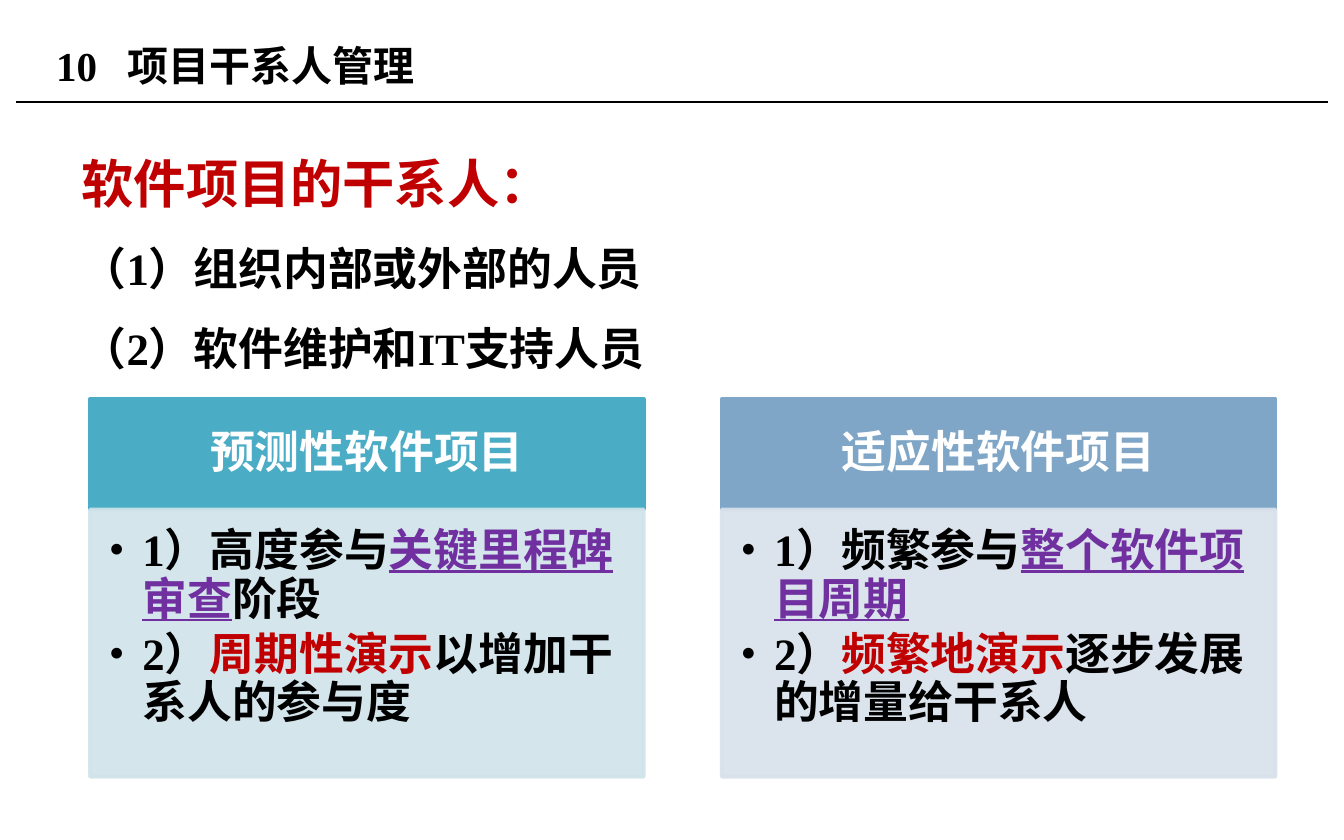
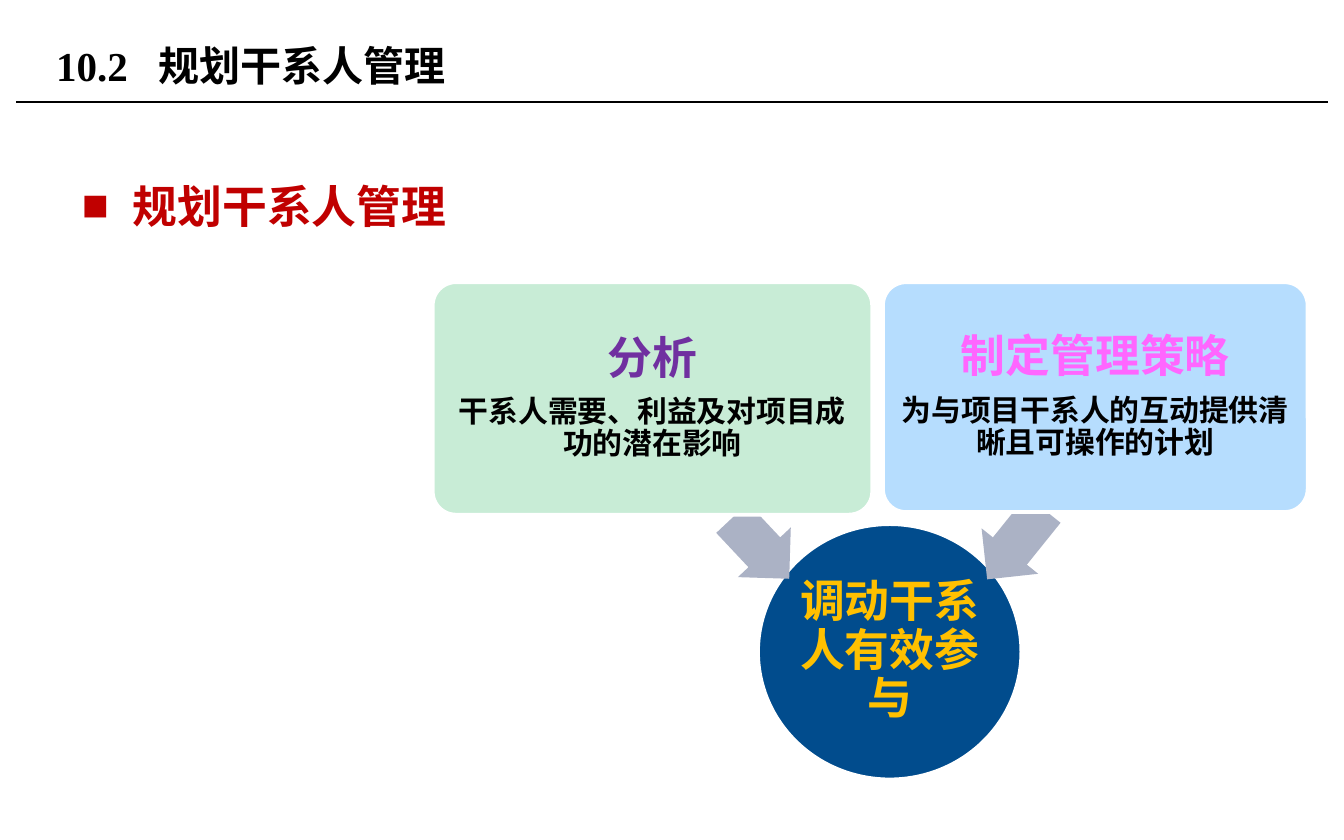
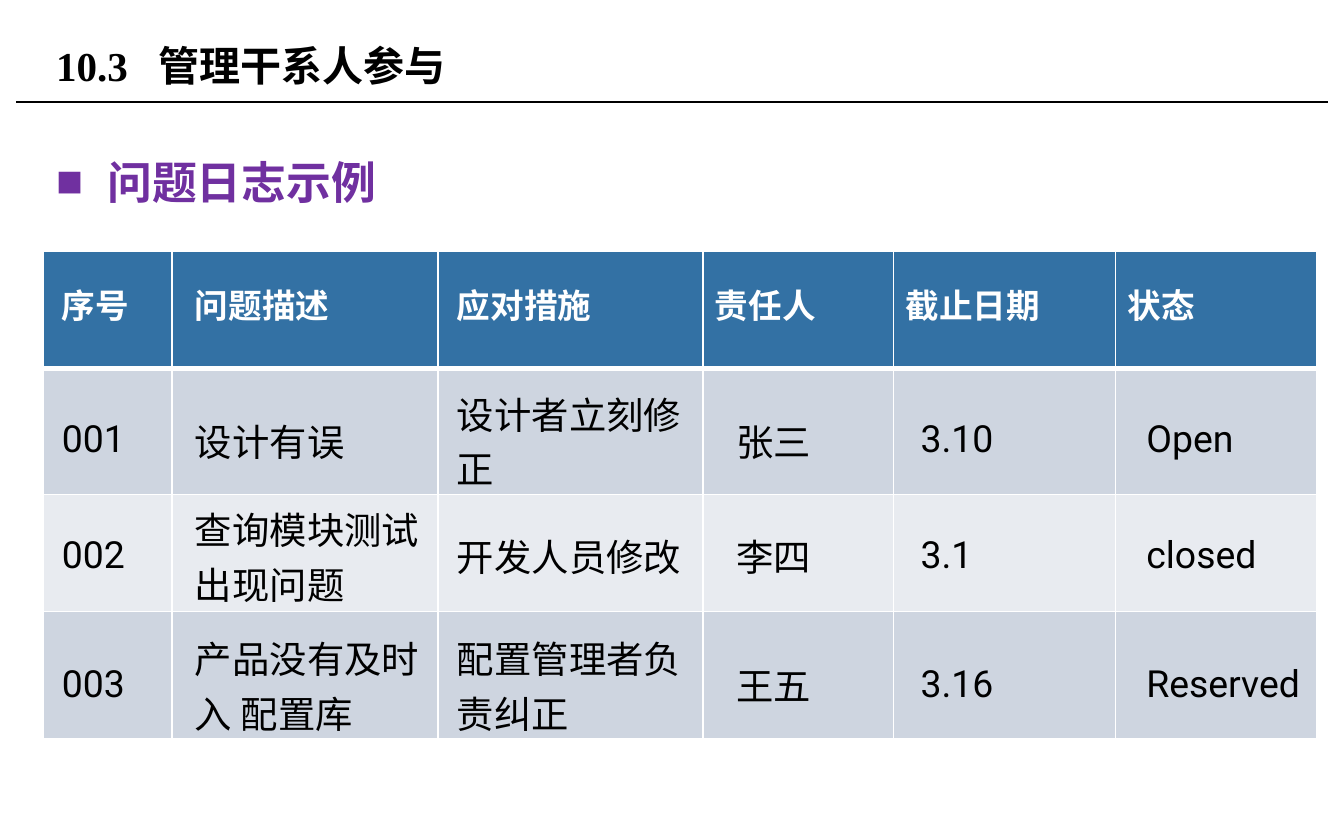
from dataclasses import dataclass

from lxml import etree
from pptx import Presentation
from pptx.dml.color import RGBColor
from pptx.enum import shapes, text
from pptx.oxml import ns
from pptx.util import Inches, Pt


@dataclass(frozen=True)
class Theme:
    serif: str = "Times New Roman"
    sans: str = "Roboto"
    chinese: str = "Noto Sans CJK SC"
    black: str = "000000"
    white: str = "FFFFFF"
    red: str = "C00000"
    purple: str = "7030A0"
    pink: str = "FF66FF"
    gold: str = "FFC000"
    navy: str = "014C8D"
    arrow: str = "ABB2C5"
    table_header: str = "3371A4"
    table_bands: tuple = ("CED5E0", "E8EBF0")
    title_size: int = 22
    lead_size: int = 28
    body_size: int = 24
    detail_size: int = 16
    header_size: int = 18
    cell_size: int = 20


theme = Theme()


def write(holder, paragraphs, *, size=theme.body_size, font=theme.serif,
          east_asian=theme.sans, color=theme.black, bold=True, align=None,
          anchor=text.MSO_ANCHOR.TOP, insets=(0.1, 0.05, 0.1, 0.05), spacing=None,
          after=0, indent=0, bullet=None, tabs=()):
    """Fill a shape or table cell; a paragraph is a list of (text, overrides) runs."""
    frame = holder.text_frame
    frame.word_wrap = True
    # A cell keeps its margins and anchor itself, a shape keeps them in its frame.
    layout = holder if hasattr(holder, "margin_left") else frame
    layout.vertical_anchor = anchor
    (layout.margin_left, layout.margin_top,
     layout.margin_right, layout.margin_bottom) = map(Inches, insets)
    for index, runs in enumerate(paragraphs):
        paragraph = frame.add_paragraph() if index else frame.paragraphs[0]
        properties = paragraph._p.get_or_add_pPr()
        properties.set("marL", str(Inches(indent)))
        if bullet:
            properties.set("indent", str(-Inches(indent)))
            etree.SubElement(properties, ns.qn("a:buFont"), typeface=theme.serif)
            etree.SubElement(properties, ns.qn("a:buChar"), char=bullet)
        if tabs:
            tab_list = etree.SubElement(properties, ns.qn("a:tabLst"))
            for stop in tabs:
                etree.SubElement(tab_list, ns.qn("a:tab"), pos=str(Inches(stop)), algn="l")
        paragraph.alignment = align
        paragraph.line_spacing = spacing
        paragraph.space_after = Pt(after)
        for content, override in runs:
            run = paragraph.add_run()
            run.text = content
            run.font.size = Pt(override.get("size", size))
            run.font.name = font
            run.font.bold = bold
            run.font.underline = override.get("underline")
            run.font.color.rgb = RGBColor.from_string(override.get("color", color))
            etree.SubElement(run._r.get_or_add_rPr(), ns.qn("a:ea"), typeface=east_asian)


def add_shape(slide, kind, box, fill, line=None, opacity=100):
    shape = slide.shapes.add_shape(kind, *map(Inches, box))
    shape.shadow.inherit = False
    shape.fill.solid()
    shape.fill.fore_color.rgb = RGBColor.from_string(fill)
    if line:
        shape.line.color.rgb = RGBColor.from_string(line)
        shape.line.width = Pt(2)
    else:
        shape.line.fill.background()
    if opacity < 100:
        for color in shape._element.spPr.iter(ns.qn("a:srgbClr")):
            etree.SubElement(color, ns.qn("a:alpha"), val=str(opacity * 1000))
    return shape


presentation = Presentation()
presentation.slide_width, presentation.slide_height = Inches(10), Inches(6.25)

# Title and rule on every slide
slides = []
for number, title, width in [("10", "项目干系人管理", 6.38),
                             ("10.2", "规划干系人管理", 6.38),
                             ("10.3", "管理干系人参与", 7.28)]:
    slide = presentation.slides.add_slide(presentation.slide_layouts[6])
    rule = slide.shapes.add_connector(shapes.MSO_CONNECTOR.STRAIGHT, Inches(0.12),
                                      Inches(0.76), Inches(9.88), Inches(0.76))
    rule.line.color.rgb = RGBColor.from_string(theme.black)
    rule.line.width = Pt(0.75)
    etree.SubElement(rule._element.spPr, ns.qn("a:effectLst"))
    title_box = slide.shapes.add_textbox(*map(Inches, (0.32, 0.13, width, 0.71)))
    write(title_box, [[(f"{number}\t{title}", {})]], size=theme.title_size,
          anchor=text.MSO_ANCHOR.MIDDLE, tabs=(0.53, 0.76))
    slides.append(slide)
stakeholder_slide, planning_slide, log_slide = slides

# Slide 1: stakeholders in two kinds of project
intro = stakeholder_slide.shapes.add_textbox(*map(Inches, (0.51, 0.84, 8.98, 3.9)))
write(intro, [
    [("软件项目的干系人：", {"size": theme.lead_size, "color": theme.red})],
    [("（1）组织内部或外部的人员", {})],
    [("（2）软件维护和IT支持人员", {})],
], spacing=1.5)

key = {"color": theme.purple, "underline": True}
demo = {"color": theme.red}
project_kinds = [
    ("预测性软件项目", "4BACC6", "D0E3EA", [
        [("1）高度参与", {}), ("关键里程碑审查", key), ("阶段", {})],
        [("2）", {}), ("周期性演示", demo), ("以增加干系人的参与度", {})]]),
    ("适应性软件项目", "7FA6C7", "D8E1EB", [
        [("1）频繁参与", {}), ("整个软件项目周期", key)],
        [("2）", {}), ("频繁地演示", demo), ("逐步发展的增量给干系人", {})]]),
]
for column, (heading, head_color, body_color, points) in enumerate(project_kinds):
    left = 0.67 + column * 4.7
    head = add_shape(stakeholder_slide, shapes.MSO_SHAPE.RECTANGLE,
                     (left, 2.97, 4.12, 0.82), head_color, line=head_color)
    write(head, [[(heading, {})]], color=theme.white, spacing=0.9,
          align=text.PP_ALIGN.CENTER, anchor=text.MSO_ANCHOR.MIDDLE,
          insets=(0.19, 0.11, 0.19, 0.11))
    body = add_shape(stakeholder_slide, shapes.MSO_SHAPE.RECTANGLE,
                     (left, 3.79, 4.12, 1.99), body_color, line=body_color, opacity=90)
    write(body, points, spacing=0.9, after=3.6, indent=0.25, bullet="•",
          align=text.PP_ALIGN.LEFT, insets=(0.14, 0.14, 0.19, 0.21))

# Section headings of slides 2 and 3
for slide, heading, left, top, color in [
        (planning_slide, "规划干系人管理", 0.51, 1.08, theme.red),
        (log_slide, "问题日志示例", 0.32, 0.9, theme.purple)]:
    heading_box = slide.shapes.add_textbox(*map(Inches, (left, top, 8.98, 3.9)))
    write(heading_box, [[(heading, {})]], color=color, spacing=1.5,
          indent=0.38, bullet="■")

# Slide 2: two activities lead to one goal
goal = add_shape(planning_slide, shapes.MSO_SHAPE.OVAL, (5.64, 3.9, 1.96, 1.9),
                 theme.navy, line=theme.white)
write(goal, [[("调动干系人有效参与", {})]], font=theme.sans, color=theme.gold,
      spacing=0.9, align=text.PP_ALIGN.CENTER, anchor=text.MSO_ANCHOR.MIDDLE,
      insets=(0.02,) * 4)

activities = [
    ("分析", theme.purple, "干系人需要、利益及对项目成功的潜在影响",
     (3.22, 2.1, 3.27, 1.73), "C8ECD6", (5.35, 3.81, 0.62, 0.54), 226.8),
    ("制定管理策略", theme.pink, "为与项目干系人的互动提供清晰且可操作的计划",
     (6.57, 2.1, 3.16, 1.71), "B6DDFE", (7.22, 3.78, 0.67, 0.54), 308.8),
]
for name, name_color, detail, card_box, card_color, arrow_box, angle in activities:
    arrow = add_shape(planning_slide, shapes.MSO_SHAPE.LEFT_ARROW, arrow_box, theme.arrow)
    arrow.adjustments[0] = 0.6
    arrow.rotation = angle
    card = add_shape(planning_slide, shapes.MSO_SHAPE.ROUNDED_RECTANGLE, card_box,
                     card_color, line=theme.white)
    card.adjustments[0] = 0.1
    write(card, [[(name, {"color": name_color})],
                 [(detail, {"size": theme.detail_size})]],
          spacing=0.9, after=7, align=text.PP_ALIGN.CENTER,
          anchor=text.MSO_ANCHOR.MIDDLE, insets=(0.05,) * 4)

# Slide 3: issue log
issue_log = [
    ("序号", "问题描述", "应对措施", "责任人", "截止日期", "状态"),
    ("001", "设计有误", "设计者立刻修正", "张三", "3.10", "Open"),
    ("002", "查询模块测试出现问题", "开发人员修改", "李四", "3.1", "closed"),
    ("003", "产品没有及时入 配置库", "配置管理者负责纠正", "王五", "3.16", "Reserved"),
]
column_widths = (0.96, 1.98, 1.97, 1.42, 1.65, 1.5)
header_indents = (0.14, 0.17, 0.14, 0.09, 0.09, 0.09)
cell_indents = (0.14, 0.17, 0.14, 0.25, 0.2, 0.23)
row_heights = (0.87, 0.94, 0.87, 0.95)
top_insets = (0, 0.13, 0.04, 0.14)

table = log_slide.shapes.add_table(
    len(issue_log), len(column_widths),
    *map(Inches, (0.32, 1.87, sum(column_widths), sum(row_heights)))).table
for column, width in zip(table.columns, column_widths):
    column.width = Inches(width)
for row_index, row in enumerate(issue_log):
    table.rows[row_index].height = Inches(row_heights[row_index])
    is_header = row_index == 0
    for column_index, content in enumerate(row):
        cell = table.cell(row_index, column_index)
        for side in "LRTB":
            thick = (is_header and side == "B") or (row_index == 1 and side == "T")
            border = etree.SubElement(cell._tc.get_or_add_tcPr(), ns.qn(f"a:ln{side}"),
                                      w=str(Pt(3 if thick else 1)))
            border_fill = etree.SubElement(border, ns.qn("a:solidFill"))
            etree.SubElement(border_fill, ns.qn("a:srgbClr"), val=theme.white)
        cell.fill.solid()
        cell.fill.fore_color.rgb = RGBColor.from_string(
            theme.table_header if is_header else theme.table_bands[(row_index - 1) % 2])
        indents = header_indents if is_header else cell_indents
        write(cell, [[(content, {})]],
              size=theme.header_size if is_header else theme.cell_size,
              font=theme.chinese if content == "截止日期" else theme.sans,
              east_asian=theme.chinese, bold=is_header,
              color=theme.white if is_header else theme.black,
              spacing=Pt(19.1) if is_header else None,
              anchor=text.MSO_ANCHOR.MIDDLE, indent=indents[column_index],
              insets=(0, top_insets[row_index], 0, 0))

presentation.save("out.pptx")
